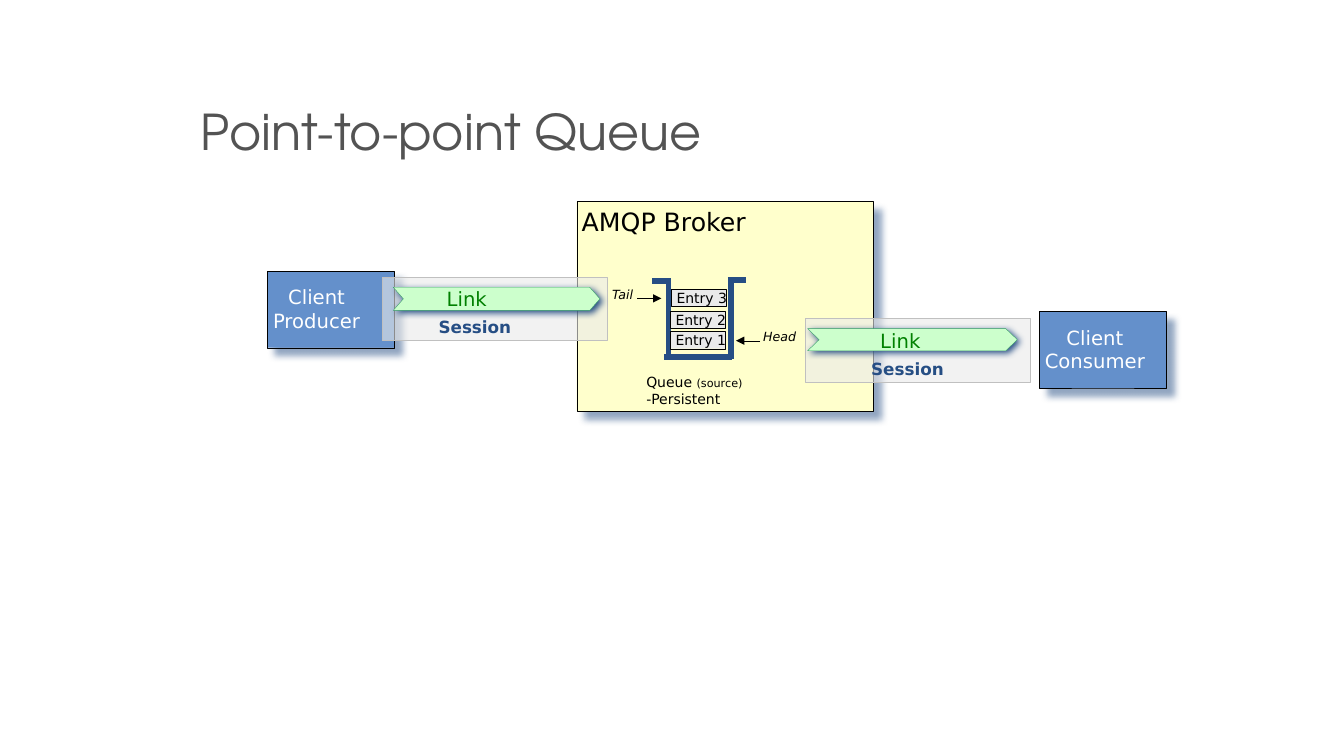
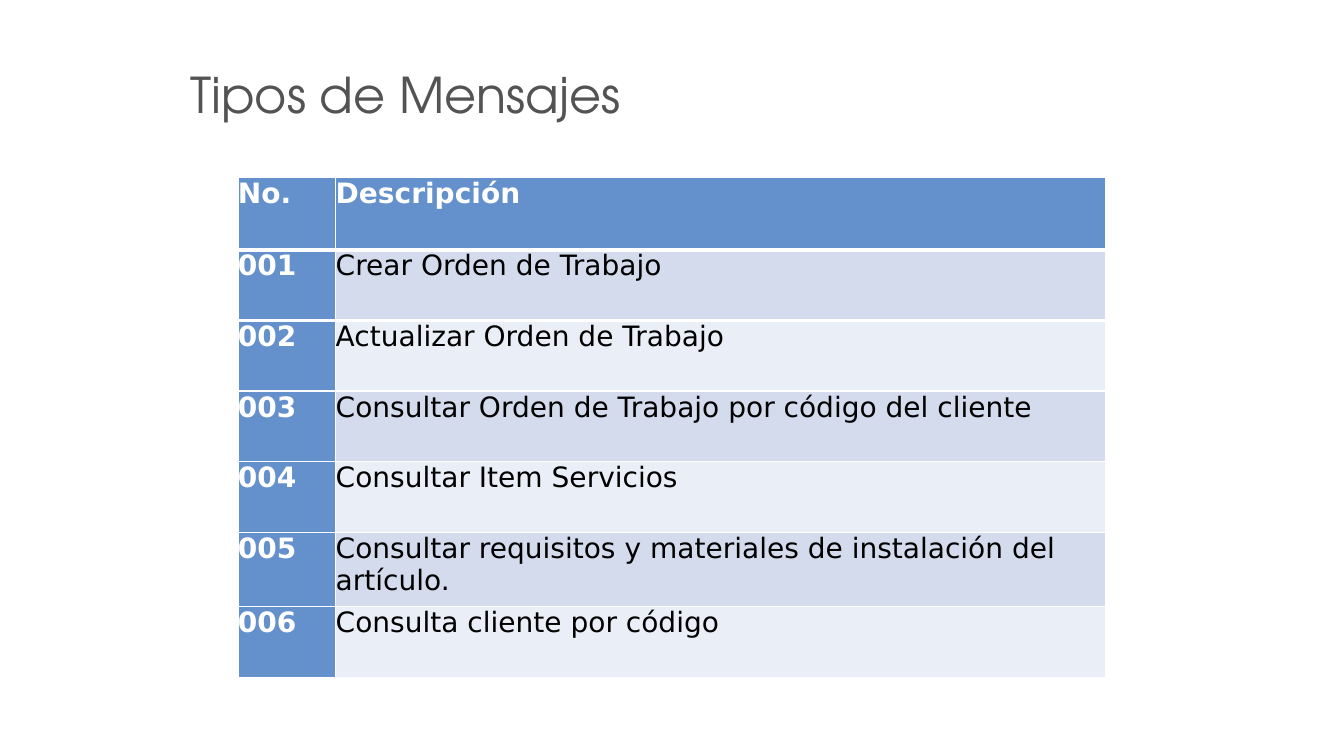
from lxml.etree import SubElement
from pptx import Presentation
from pptx.dml.color import RGBColor
from pptx.enum.shapes import MSO_CONNECTOR, MSO_SHAPE
from pptx.enum.text import MSO_ANCHOR, MSO_AUTO_SIZE, PP_ALIGN
from pptx.oxml.ns import qn
from pptx.util import Inches, Pt

BODY_FONT, TITLE_FONT = "DejaVu Sans", "TeX Gyre Adventor"
BLUE, NAVY, BLACK, WHITE = "6490CB", "264E84", "000000", "FFFFFF"
GREY, PALE_YELLOW, PALE_GREEN = "EAEAEA", "FFFFCC", "CCFFCC"
LEFT, CENTER, RIGHT = PP_ALIGN.LEFT, PP_ALIGN.CENTER, PP_ALIGN.RIGHT
TOP, MIDDLE, BOTTOM = MSO_ANCHOR.TOP, MSO_ANCHOR.MIDDLE, MSO_ANCHOR.BOTTOM

prs = Presentation()
prs.slide_width, prs.slide_height = Inches(13.33), Inches(7.5)
unit = prs.slide_height / 75

slides = []
for heading, left, top in [("Point-to-point Queue", 19.9, 10.1), ("Tipos de Mensajes", 18.9, 6.4)]:
    slide = prs.slides.add_slide(prs.slide_layouts[5])
    title = slide.shapes.title
    title.left, title.top, title.width, title.height = [int(n * unit) for n in (left, top, 89.1, 5.9)]
    frame = title.text_frame
    frame.text = heading
    frame.auto_size = MSO_AUTO_SIZE.NONE
    frame.vertical_anchor = BOTTOM
    frame.margin_left = frame.margin_top = frame.margin_right = frame.margin_bottom = 0
    line = frame.paragraphs[0]
    line.alignment, line.line_spacing = LEFT, 0.9
    line.font.name, line.font.size = TITLE_FONT, Pt(35.2)
    line.font.color.rgb = RGBColor.from_string("535353")
    slides.append(slide)
queue_slide, messages_slide = slides


def block(box, fill, outline=BLACK, preset=MSO_SHAPE.RECTANGLE, alpha=None, shadow=None):
    shape = queue_slide.shapes.add_shape(preset, *[int(n * unit) for n in box])
    shape.fill.solid()
    shape.fill.fore_color.rgb = RGBColor.from_string(fill)
    shape.line.color.rgb = RGBColor.from_string(outline)
    shape.line.width = Pt(0.25)
    shape.shadow.inherit = False
    properties = shape.element.spPr
    if alpha:
        tint = properties.find(qn("a:solidFill")).find(qn("a:srgbClr"))
        SubElement(tint, qn("a:alpha"), val=str(alpha * 1000))
    if shadow:
        opacity, distance = shadow
        cast = SubElement(properties.find(qn("a:effectLst")), qn("a:outerShdw"), blurRad=str(Pt(5)),
                          dist=str(Pt(distance)), dir="2700000", algn="ctr", rotWithShape="0")
        tint = SubElement(cast, qn("a:srgbClr"), val=NAVY)
        SubElement(tint, qn("a:alpha"), val=str(opacity * 1000))
    return shape


def label(text, box, size, color=BLACK, align=LEFT, anchor=MIDDLE, inset=0.5, wrap=False, before=0):
    frame = queue_slide.shapes.add_textbox(*[int(n * unit) for n in box]).text_frame
    frame.word_wrap, frame.vertical_anchor = wrap, anchor
    frame.margin_left = frame.margin_top = frame.margin_right = frame.margin_bottom = int(inset * unit)
    frame.text = text
    line = frame.paragraphs[0]
    line.alignment, line.space_before = align, Pt(before)
    line.font.name, line.font.size = BODY_FONT, Pt(size)
    line.font.color.rgb = RGBColor.from_string(color)
    return line


block((57.2, 20, 29.4, 20.8), PALE_YELLOW, shadow=(50, 8))
label("AMQP Broker", (57.2, 20, 17.6, 4.1), 18, anchor=TOP)

for role, left, top, width in [("Producer", 26.5, 26.9, 9.8), ("Consumer", 103.1, 30.9, 11)]:
    block((left, top, 12.6, 7.6), BLUE, shadow=(50, 8))
    label(f"Client\v{role}", (left, top + 0.9, width, 5.7), 14, WHITE, CENTER)

for x1, y1, x2, y2, color, weight in [
    (65.9, 35.4, 72.6, 35.4, NAVY, 4),
    (66.3, 35.6, 66.3, 27.6, NAVY, 4),
    (64.7, 27.9, 66.5, 27.9, NAVY, 4),
    (72.5, 35.6, 72.5, 27.6, NAVY, 4),
    (72.2, 27.8, 74, 27.8, NAVY, 4),
    (75.4, 33.8, 73, 33.8, BLACK, 0.25),
    (63.2, 29.6, 65.6, 29.6, BLACK, 0.25),
]:
    stroke = queue_slide.shapes.add_connector(MSO_CONNECTOR.STRAIGHT, *[int(n * unit) for n in (x1, y1, x2, y2)])
    stroke.line.color.rgb = RGBColor.from_string(color)
    stroke.line.width = Pt(weight)
    if color == BLACK:
        SubElement(stroke.line._get_or_add_ln(), qn("a:tailEnd"), type="triangle")
    SubElement(stroke.element.spPr, qn("a:effectLst"))

for number, left, top in [(1, 66.5, 32.9), (2, 66.5, 30.9), (3, 66.6, 28.7)]:
    block((left, top, 5.4, 1.7), GREY)
    label(f"Entry {number}", (left, top - 0.5, 6.2, 2.7), 10)

for left, top, session_left, link_left, link_width, link_height, notch, link_text in [
    (37.9, 27.5, 43.5, 39, 20.5, 2.3, 0.44, 43.8),
    (79.9, 31.6, 86.4, 80.1, 20.8, 2.2, 0.52, 86.8),
]:
    block((left, top, 22.3, 6.3), GREY, "C0C0C0", alpha=60)
    label("Session", (session_left, top + 3.85, 7.3, 2.1), 12, NAVY, anchor=BOTTOM, inset=0).font.bold = True
    link = block((link_left, top + 1, link_width, link_height), PALE_GREEN, "339966", MSO_SHAPE.CHEVRON,
                 shadow=(100, 2))
    link.adjustments[0] = notch
    label("Link", (link_text, top + 0.45, 5.1, 3.4), 14, "008000")

for end, left, top, align in [("Head", 75.7, 32.6, LEFT), ("Tail", 58.5, 28.5, RIGHT)]:
    label(end, (left, top, 4.3, 1.5), 9, align=align, anchor=TOP, inset=0, wrap=True, before=5).font.italic = True

caption = label("Queue ", (63.6, 36.6, 12.1, 4.3), 10, anchor=TOP, wrap=True, before=6)
source = caption.add_run()
source.text = "(source)"
source.font.size = Pt(8)
caption.add_line_break()
caption.add_run().text = "-Persistent"

messages = [
    ("No.", "Descripción"),
    ("001", "Crear Orden de Trabajo"),
    ("002", "Actualizar Orden de Trabajo"),
    ("003", "Consultar Orden de Trabajo por código del cliente"),
    ("004", "Consultar Item Servicios"),
    ("005", "Consultar requisitos y materiales de instalación del artículo."),
    ("006", "Consulta cliente por código"),
]
heights = [7.2, 7, 7, 7, 7, 7.4, 7]
widths = [9.7, 76.4]
table = messages_slide.shapes.add_table(
    len(messages), 2, *[int(n * unit) for n in (23.6, 17.6, sum(widths), sum(heights))]).table
for column, width in zip(table.columns, widths):
    column.width = int(width * unit)
for r, (message, height) in enumerate(zip(messages, heights)):
    table.rows[r].height = int(height * unit)
    for c, text in enumerate(message):
        cell = table.cell(r, c)
        key = r == 0 or c == 0
        cell.text = text
        cell.margin_left = cell.margin_top = cell.margin_right = cell.margin_bottom = 0
        line = cell.text_frame.paragraphs[0]
        line.space_before = Pt(6)
        line.font.name, line.font.size, line.font.bold = BODY_FONT, Pt(20), key
        line.font.color.rgb = RGBColor.from_string(WHITE if key else BLACK)
        for side, thick in [("L", False), ("R", False), ("T", r in (1, 2)), ("B", r in (0, 1))]:
            border = SubElement(cell._tc.get_or_add_tcPr(), qn(f"a:ln{side}"), w=str(Pt(3 if thick else 1)))
            SubElement(SubElement(border, qn("a:solidFill")), qn("a:srgbClr"), val=WHITE)
        cell.fill.solid()
        cell.fill.fore_color.rgb = RGBColor.from_string(BLUE if key else "D3DBEC" if r % 2 else "EAEEF6")

prs.save("out.pptx")
